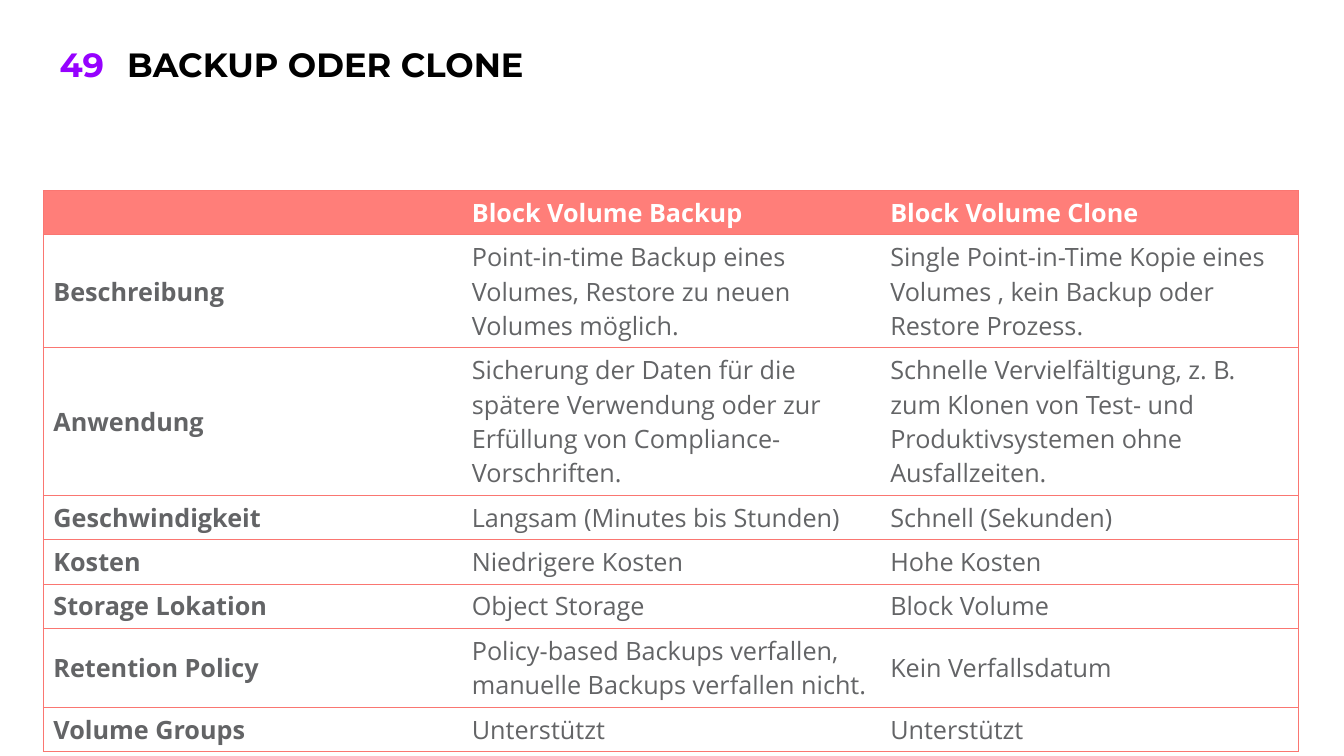
from lxml import etree
from pptx import Presentation
from pptx.dml.color import RGBColor
from pptx.enum import text
from pptx.oxml import ns
from pptx.util import Inches, Pt

COLORS = {
    "number": "9601FF",
    "title": "000000",
    "header": "FF7E79",
    "border": "FA7671",
    "header_text": "FFFFFF",
    "body_text": "636466",
}
HEADING_FONT, TABLE_FONT = "Montserrat", "Open Sans"

ROWS = [
    ("", "Block Volume Backup", "Block Volume Clone"),
    ("Beschreibung",
     "Point-in-time Backup eines Volumes, Restore zu neuen Volumes möglich.",
     "Single Point-in-Time Kopie eines Volumes , kein Backup oder Restore Prozess."),
    ("Anwendung",
     "Sicherung der Daten für die spätere Verwendung oder zur Erfüllung von "
     "Compliance-Vorschriften.",
     "Schnelle Vervielfältigung, z. B. zum Klonen von Test- und "
     "Produktivsystemen ohne Ausfallzeiten."),
    ("Geschwindigkeit", "Langsam (Minutes bis Stunden)", "Schnell (Sekunden)"),
    ("Kosten", "Niedrigere Kosten", "Hohe Kosten"),
    ("Storage Lokation", "Object Storage", "Block Volume"),
    ("Retention Policy",
     "Policy-based Backups verfallen, manuelle Backups verfallen nicht.",
     "Kein Verfallsdatum"),
    ("Volume Groups", "Unterstützt", "Unterstützt"),
]


def add_run(p, content, font, size, color, bold):
    r = p.add_run()
    r.text = content
    r.font.name = font
    r.font.size = Pt(size)
    r.font.bold = bold
    r.font.color.rgb = RGBColor.from_string(COLORS[color])


def fill_heading(sp, content, color, align, inset):
    tf = sp.text_frame
    tf.word_wrap = True
    tf.auto_size = text.MSO_AUTO_SIZE.NONE
    tf.vertical_anchor = text.MSO_ANCHOR.MIDDLE
    tf.margin_left = tf.margin_right = Inches(inset)
    p = tf.paragraphs[0]
    p.alignment = align
    p.line_spacing = 0.9
    p.space_before = Pt(7.5)
    add_run(p, content, HEADING_FONT, 24, color, True)


def set_borders(cell, visible):
    """Draw the named sides and switch the others off."""
    tc_pr = cell._tc.get_or_add_tcPr()
    for i, side in enumerate(("lnL", "lnR", "lnT", "lnB")):
        ln = etree.Element(ns.qn(f"a:{side}"), w=str(Pt(0.75)))
        if side in visible:
            fill = etree.SubElement(ln, ns.qn("a:solidFill"))
            etree.SubElement(fill, ns.qn("a:srgbClr"), val=COLORS["border"])
        else:
            etree.SubElement(ln, ns.qn("a:noFill"))
        tc_pr.insert(i, ln)


def fill_cell(cell, content, row, col):
    is_header = row == 0
    cell.vertical_anchor = text.MSO_ANCHOR.MIDDLE
    if is_header:
        cell.fill.solid()
        cell.fill.fore_color.rgb = RGBColor.from_string(COLORS["header"])
    else:
        cell.fill.background()
    if content:
        color = "header_text" if is_header else "body_text"
        add_run(cell.text_frame.paragraphs[0], content, TABLE_FONT, 18, color,
                is_header or col == 0)
    outer = {0: ["lnL"], len(ROWS[0]) - 1: ["lnR"]}.get(col, [])
    set_borders(cell, ["lnT", "lnB"] + outer)


def add_comparison(s):
    row_height, col_width = Inches(0.41), Inches(4.15)
    n_rows, n_cols = len(ROWS), len(ROWS[0])
    table = s.shapes.add_table(n_rows, n_cols, Inches(0.43), Inches(1.89),
                               col_width * n_cols, row_height * n_rows).table
    table.horz_banding = False
    for column in table.columns:
        column.width = col_width
    for i, row in enumerate(ROWS):
        table.rows[i].height = row_height
        for j, content in enumerate(row):
            fill_cell(table.cell(i, j), content, i, j)


def main():
    prs = Presentation()
    prs.slide_width, prs.slide_height = Inches(13.33), Inches(7.5)
    s = prs.slides.add_slide(prs.slide_layouts[5])

    # Slide number and title
    number = s.shapes.add_textbox(Inches(0.43), Inches(0.42), Inches(0.7), Inches(0.49))
    fill_heading(number, "49", "number", text.PP_ALIGN.RIGHT, 0.1)
    title = s.shapes.title
    title.left, title.top = Inches(1.14), Inches(0.42)
    title.width, title.height = Inches(11.74), Inches(0.48)
    fill_heading(title, "BACKUP ODER CLONE", "title", text.PP_ALIGN.LEFT, 0.12)

    # Comparison table
    add_comparison(s)
    prs.save("out.pptx")


if __name__ == "__main__":
    main()
